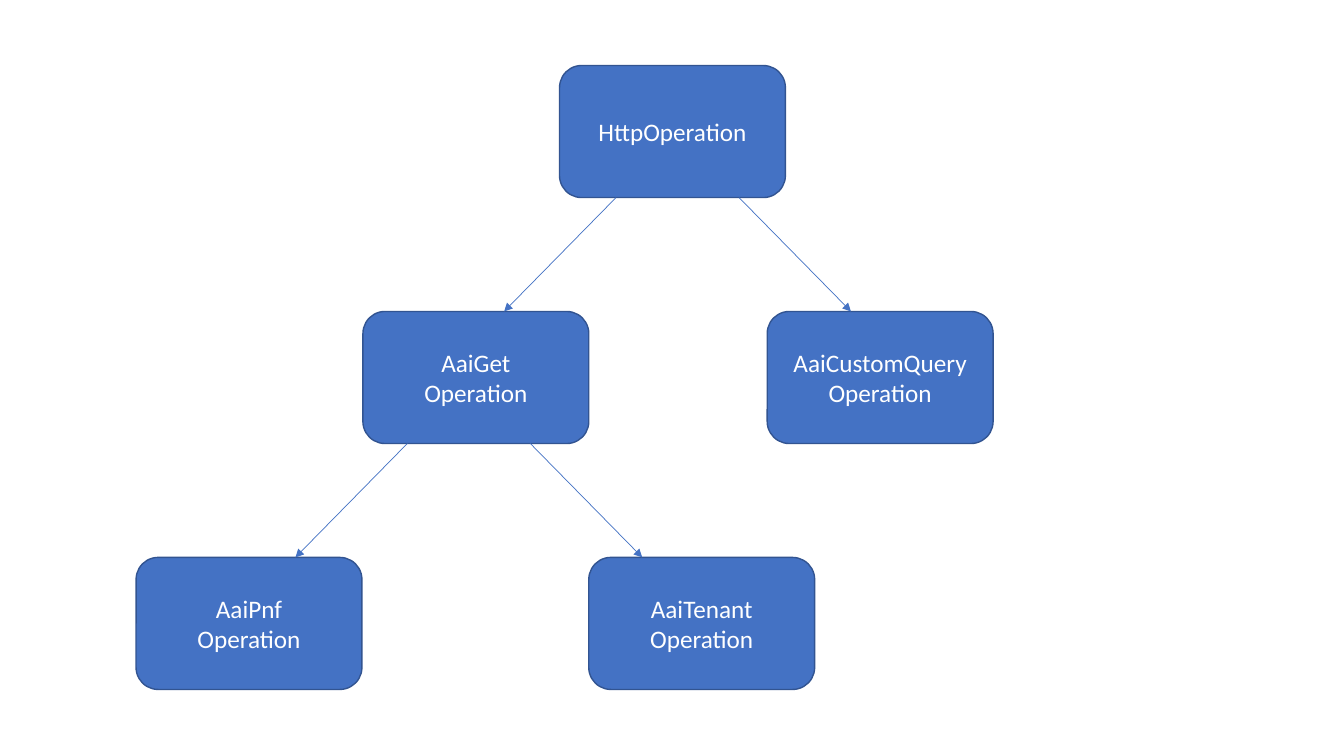
from dataclasses import dataclass

from lxml import etree
from pptx import Presentation
from pptx.dml.color import RGBColor
from pptx.enum import shapes, text
from pptx.oxml import ns
from pptx.util import Inches, Pt


@dataclass(frozen=True)
class Theme:
    """Colours, type and line widths of the slide."""
    fill: str = "4472C4"
    border: str = "325491"
    label: str = "FFFFFF"
    font: str = "Calibri"
    size: float = 18
    border_width: float = 1
    arrow_width: float = 0.5


THEME = Theme()
BOX_W, BOX_H = 2.24, 1.31
TOP, ROW_STEP = 0.65, 2.44
ARROW_RUN, ARROW_SPREAD = 1.11, 1.22

BOXES = [
    (0, 5.55, "HttpOperation"),
    (1, 3.6, "AaiGet\nOperation"),
    (1, 7.61, "AaiCustomQuery\nOperation"),
    (2, 1.35, "AaiPnf\nOperation"),
    (2, 5.84, "AaiTenant\nOperation"),
]
BRANCHES = [(0, 6.11), (1, 4.04)]


def row_top(row):
    """Return the top of a level of the tree in inches."""
    return TOP + row * ROW_STEP


def set_line(line, color, width):
    """Give a line its colour and width."""
    line.color.rgb = RGBColor.from_string(color)
    line.width = Pt(width)


def write_text(tf, content, *, size=THEME.size, color=THEME.label,
               font=THEME.font, align=text.PP_ALIGN.CENTER):
    """Write one formatted paragraph for each line of content."""
    tf.word_wrap = True
    tf.vertical_anchor = text.MSO_ANCHOR.MIDDLE
    tf.text = content
    for p in tf.paragraphs:
        p.alignment = align
        for r in p.runs:
            r.font.name = font
            r.font.size = Pt(size)
            r.font.color.rgb = RGBColor.from_string(color)


def add_box(s, row, left, label):
    """Add a rounded class box on a level of the tree."""
    sp = s.shapes.add_shape(shapes.MSO_SHAPE.ROUNDED_RECTANGLE, Inches(left),
                            Inches(row_top(row)), Inches(BOX_W), Inches(BOX_H))
    sp.shadow.inherit = False
    sp.fill.solid()
    sp.fill.fore_color.rgb = RGBColor.from_string(THEME.fill)
    set_line(sp.line, THEME.border, THEME.border_width)
    write_text(sp.text_frame, label)


def add_arrow(s, row, x, run):
    """Add an arrow from a level of the tree down to the next one."""
    sp = s.shapes.add_connector(shapes.MSO_CONNECTOR.STRAIGHT, Inches(x),
                                Inches(row_top(row) + BOX_H), Inches(x + run),
                                Inches(row_top(row + 1)))
    set_line(sp.line, THEME.fill, THEME.arrow_width)
    etree.SubElement(sp.line._get_or_add_ln(), ns.qn("a:tailEnd"), type="triangle")
    etree.SubElement(sp._element.spPr, ns.qn("a:effectLst"))


def main():
    """Build the class tree and save it."""
    prs = Presentation()
    prs.slide_width, prs.slide_height = Inches(13.33), Inches(7.5)
    s = prs.slides.add_slide(prs.slide_layouts[6])
    for row, left, label in BOXES:
        add_box(s, row, left, label)
    for row, x in BRANCHES:
        add_arrow(s, row, x, -ARROW_RUN)
        add_arrow(s, row, x + ARROW_SPREAD, ARROW_RUN)
    prs.save("out.pptx")


main()
